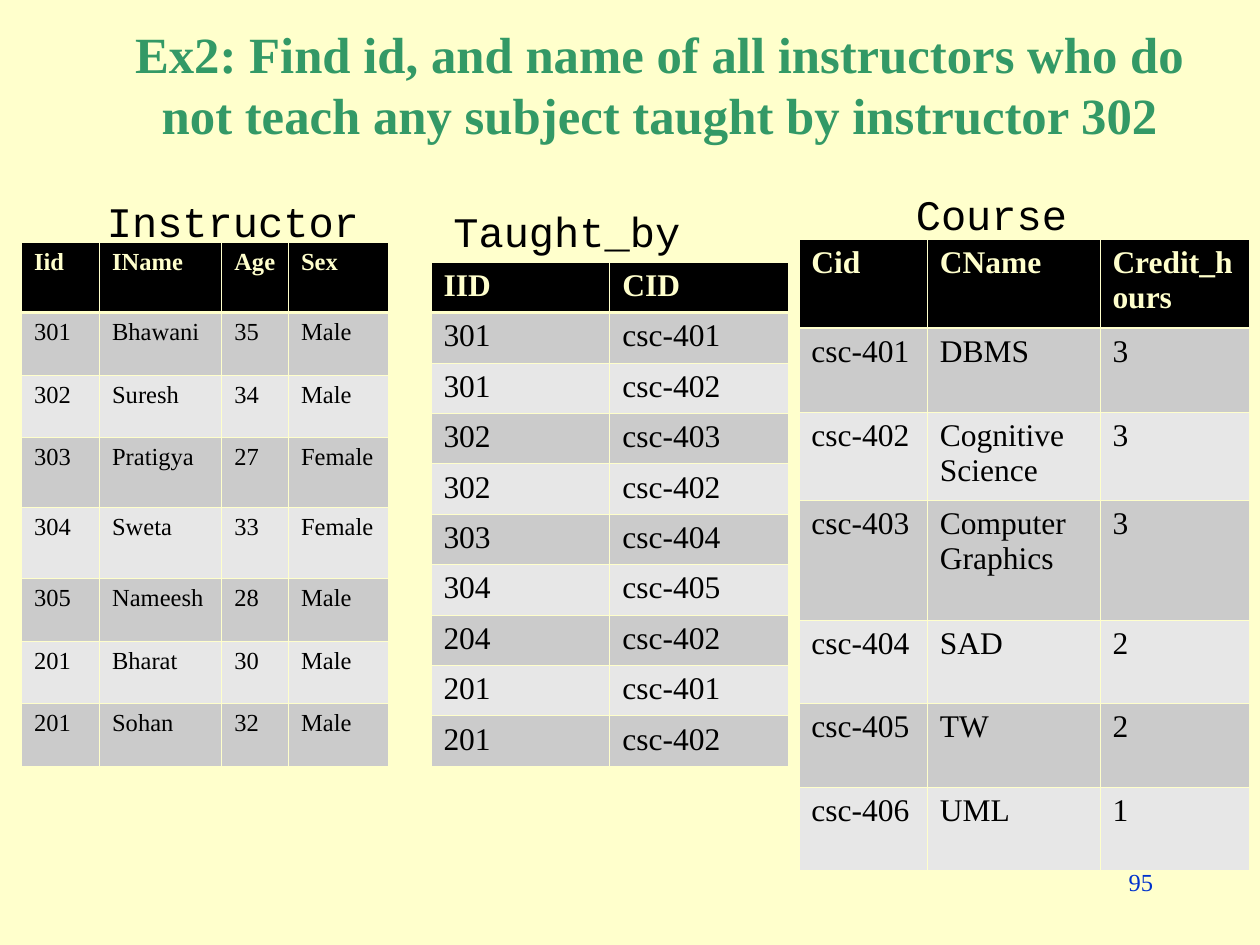
from lxml import etree
from pptx import Presentation, util as u
from pptx.dml.color import RGBColor
from pptx.enum import text
from pptx.oxml import ns

COLORS = {"cream": "FFFFCC", "green": "339966", "blue": "0033CC", "black": "000000",
          "band": "CBCBCB", "light": "E7E7E7"}
SERIF, MONO = "Times New Roman", "Courier New"
THIN, THICK = 0.45, 1.47

TITLE = ("Ex2: Find id, and name of all instructors who do not teach "
         "any subject taught by instructor 302")
PAGE_NUMBER = "95"
RELATIONS = [
    {"name": "Taught_by", "label_at": (3.5, 1.58, 2, 0.5), "at": (3.42, 2.08), "size": 18,
     "widths": [1.42] * 2, "heights": [0.4] * 10,
     "rows": [("IID", "CID"), ("301", "csc-401"), ("301", "csc-402"), ("302", "csc-403"),
              ("302", "csc-402"), ("303", "csc-404"), ("304", "csc-405"), ("204", "csc-402"),
              ("201", "csc-401"), ("201", "csc-402")]},
    {"name": "Instructor", "label_at": (0.75, 1.5, 2.33, 0.5), "at": (0.17, 1.92), "size": 14,
     "widths": [0.62, 0.97, 0.53, 0.79],
     "heights": [0.56, 0.5, 0.49, 0.56, 0.56, 0.5, 0.49, 0.5],
     "rows": [("Iid", "IName", "Age", "Sex"), ("301", "Bhawani", "35", "Male"),
              ("302", "Suresh", "34", "Male"), ("303", "Pratigya", "27", "Female"),
              ("304", "Sweta", "33", "Female"), ("305", "Nameesh", "28", "Male"),
              ("201", "Bharat", "30", "Male"), ("201", "Sohan", "32", "Male")]},
    {"name": "Course", "label_at": (7.17, 1.45, 1.58, 0.5), "at": (6.34, 1.9), "size": 18,
     "widths": [1.02, 1.37, 1.19], "heights": [0.7, 0.67, 0.7, 0.95, 0.66, 0.67, 0.66],
     "rows": [("Cid", "CName", "Credit_hours"), ("csc-401", "DBMS", "3"),
              ("csc-402", "Cognitive Science", "3"), ("csc-403", "Computer Graphics", "3"),
              ("csc-404", "SAD", "2"), ("csc-405", "TW", "2"), ("csc-406", "UML", "1")]},
]


def rgb(color):
    return RGBColor.from_string(COLORS[color])


def write(frame, words, size, color, font=SERIF, bold=False, align=None):
    frame.text = words
    paragraph = frame.paragraphs[0]
    paragraph.alignment = align
    style = paragraph.runs[0].font
    style.name, style.size, style.bold = font, u.Pt(size), bold
    style.color.rgb = rgb(color)


def add_label(slide, box, *args, **kwargs):
    frame = slide.shapes.add_textbox(*map(u.Inches, box)).text_frame
    frame.word_wrap = True
    write(frame, *args, **kwargs)


def set_borders(cell, row):
    weights = {"lnL": THIN, "lnR": THIN,
               "lnT": THICK if row == 1 else THIN,
               "lnB": THICK if row == 0 else THIN}
    properties = cell._tc.get_or_add_tcPr()
    for position, (side, weight) in enumerate(weights.items()):
        line = etree.Element(ns.qn("a:" + side), w=str(u.Pt(weight)))
        fill = etree.SubElement(line, ns.qn("a:solidFill"))
        etree.SubElement(fill, ns.qn("a:srgbClr"), val=COLORS["cream"])
        properties.insert(position, line)


def add_relation(slide, relation):
    rows, widths, heights = relation["rows"], relation["widths"], relation["heights"]
    box = (*relation["at"], sum(widths), sum(heights))
    table = slide.shapes.add_table(len(rows), len(widths), *map(u.Inches, box)).table
    for column, width in zip(table.columns, widths):
        column.width = u.Inches(width)
    for r, (values, height) in enumerate(zip(rows, heights)):
        table.rows[r].height = u.Inches(height)
        header = r == 0
        for c, value in enumerate(values):
            cell = table.cell(r, c)
            cell.fill.solid()
            cell.fill.fore_color.rgb = rgb("black" if header else "band" if r % 2 else "light")
            set_borders(cell, r)
            write(cell.text_frame, value, relation["size"],
                  "cream" if header else "black", bold=header)
    add_label(slide, relation["label_at"], relation["name"], 24, "black", MONO)


def main():
    deck = Presentation()
    deck.slide_width, deck.slide_height = u.Inches(10), u.Inches(7.5)
    slide = deck.slides.add_slide(deck.slide_layouts[5])
    slide.background.fill.solid()
    slide.background.fill.fore_color.rgb = rgb("cream")

    title = slide.shapes.title
    title.left, title.top, title.width, title.height = map(u.Inches, (0.7, 0.29, 9.08, 0.75))
    title.text_frame.vertical_anchor = text.MSO_ANCHOR.MIDDLE
    title.text_frame.auto_size = text.MSO_AUTO_SIZE.NONE
    write(title.text_frame, TITLE, 29, "green", bold=True, align=text.PP_ALIGN.CENTER)

    for relation in RELATIONS:
        add_relation(slide, relation)
    add_label(slide, (7.17, 6.83, 2.08, 0.5), PAGE_NUMBER, 14, "blue",
              align=text.PP_ALIGN.RIGHT)
    deck.save("out.pptx")


if __name__ == "__main__":
    main()
